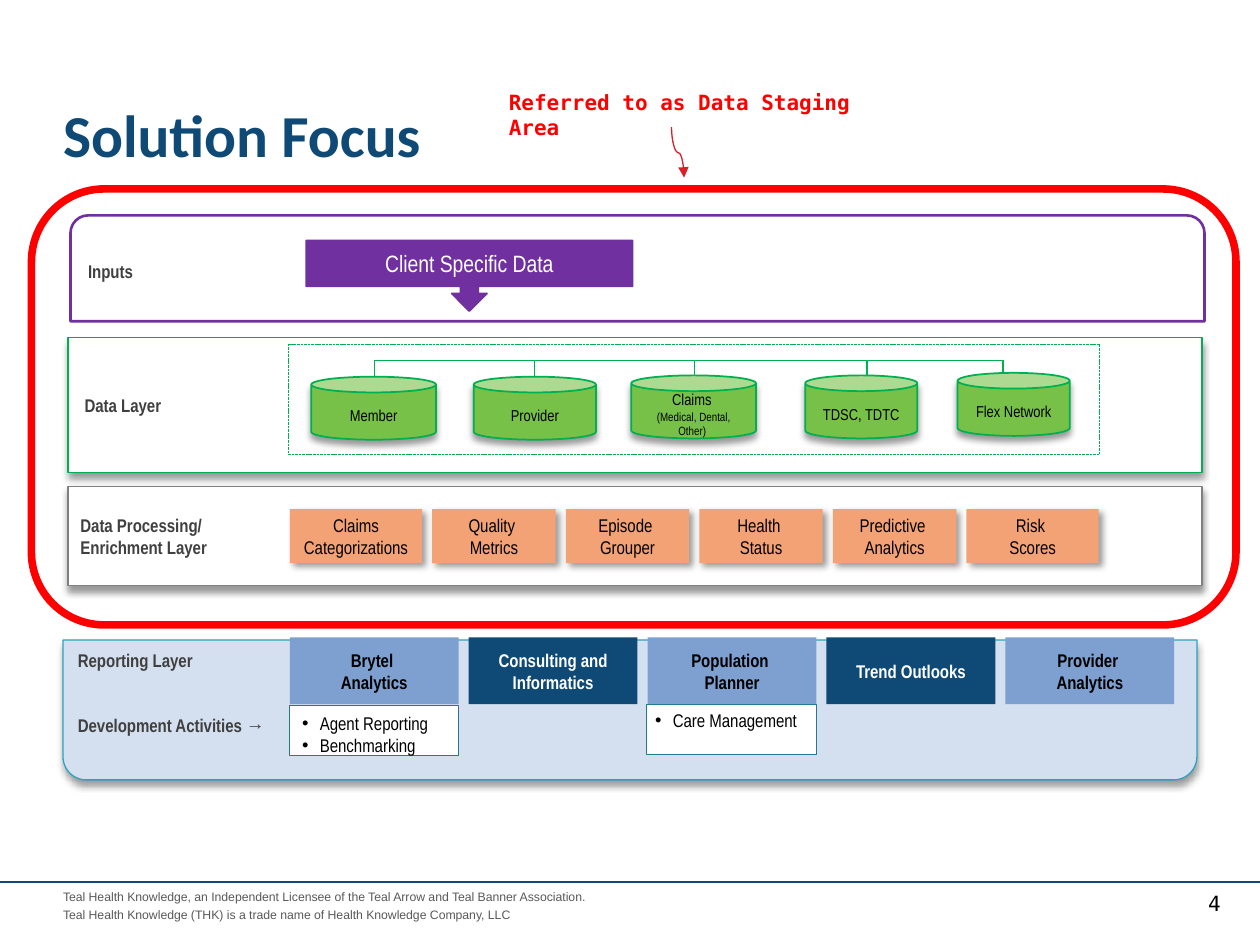
from lxml import etree
from pptx import Presentation
from pptx.dml.color import RGBColor
from pptx.enum.dml import MSO_LINE
from pptx.enum.shapes import MSO_CONNECTOR, MSO_SHAPE
from pptx.enum.text import MSO_ANCHOR, PP_ALIGN
from pptx.oxml.ns import qn
from pptx.util import Inches, Pt

RECT, ROUND, ROUND_TOP = MSO_SHAPE.RECTANGLE, MSO_SHAPE.ROUNDED_RECTANGLE, MSO_SHAPE.ROUND_2_SAME_RECTANGLE
CAN, CALLOUT = MSO_SHAPE.CAN, MSO_SHAPE.DOWN_ARROW_CALLOUT
STRAIGHT, CURVE = MSO_CONNECTOR.STRAIGHT, MSO_CONNECTOR.CURVE
TOP, MIDDLE = MSO_ANCHOR.TOP, MSO_ANCHOR.MIDDLE
LEFT, CENTER = PP_ALIGN.LEFT, PP_ALIGN.CENTER
DASH = MSO_LINE.SQUARE_DOT

# Grid of 10 columns by 7.5 rows; all lengths below are in grid units
SLIDE_W, SLIDE_H, COLS = Inches(10), Inches(7.5), 10

COLORS = {
    "navy": "0F4A77", "white": "FFFFFF", "black": "000000", "label": "404040",
    "footer": "595959", "red": "FF0000", "arrow": "DA1F28", "purple": "7030A0",
    "green": "00B050", "can": "78C149", "grey": "808080", "peach": "F3A276",
    "pale": "D4DFEF", "teal": "2DA2BF", "tile": "7DA0D0", "note": "227A8F",
}
NARROW = "Arial Narrow"
LABEL = {"name": NARROW, "size": 10.5, "color": "label", "bold": True}
BODY = {"name": NARROW, "size": 10.5, "color": "black"}
CAN_TEXT = {"name": NARROW, "size": 9, "color": "black"}


def grid(*values):
    return [round(v * SLIDE_W / COLS) for v in values]


def rgb(name):
    return RGBColor.from_string(COLORS[name])


def set_font(font, fmt):
    for key, value in fmt.items():
        if key == "color":
            font.color.rgb = rgb(value)
        else:
            setattr(font, key, Pt(value) if key == "size" else value)


def set_frame(tf, anchor, insets=(0.1, 0.05, 0.1, 0.05)):
    tf.word_wrap, tf.vertical_anchor = True, anchor
    sides = ("margin_left", "margin_top", "margin_right", "margin_bottom")
    for side, value in zip(sides, grid(*insets)):
        setattr(tf, side, value)


def write(tf, paragraphs, fmt, align=LEFT, later_size=None):
    """Fill a frame; a newline breaks the line, later lines may be smaller."""
    for i, text in enumerate(paragraphs):
        p = tf.paragraphs[0] if i == 0 else tf.add_paragraph()
        p.alignment = align
        for j, line in enumerate(text.split("\n")):
            if j:
                p.add_line_break()
            r = p.add_run()
            r.text = line
            set_font(r.font, {**fmt, "size": later_size} if j and later_size else fmt)


def add_text(s, box, paragraphs, fmt, insets=(0.1, 0.05, 0.1, 0.05)):
    tf = s.shapes.add_textbox(*grid(*box)).text_frame
    set_frame(tf, TOP, insets)
    write(tf, paragraphs, fmt)
    return tf


def add_shadow(sp, angle):
    effects = sp._element.spPr.find(qn("a:effectLst"))
    shadow = etree.SubElement(effects, qn("a:outerShdw"), blurRad=str(Pt(4)), dist=str(Pt(3)),
                              dir=str(angle * 60000), algn="tl", rotWithShape="0")
    color = etree.SubElement(shadow, qn("a:srgbClr"), val=COLORS["black"])
    etree.SubElement(color, qn("a:alpha"), val="40000")


def add_box(s, kind, box, fill=None, line=None, width=0.75, shadow=None):
    sp = s.shapes.add_shape(kind, *grid(*box))
    sp.shadow.inherit = False
    if fill:
        sp.fill.solid()
        sp.fill.fore_color.rgb = rgb(fill)
    else:
        sp.fill.background()
    if line:
        sp.line.color.rgb = rgb(line)
        sp.line.width = Pt(width)
    else:
        sp.line.fill.background()
    if shadow is not None:
        add_shadow(sp, shadow)
    return sp


def add_label(sp, text, fmt, align=CENTER, later_size=None, insets=(0.1, 0.05, 0.1, 0.05)):
    set_frame(sp.text_frame, MIDDLE, insets)
    write(sp.text_frame, [text], fmt, align, later_size)


def add_line(s, kind, ends, color):
    c = s.shapes.add_connector(kind, *grid(*ends))
    c.line.color.rgb = rgb(color)
    c.line.width = Pt(0.75)
    etree.SubElement(c._element.spPr, qn("a:effectLst"))
    return c


def add_notes_box(s, box, items, insets=(0.1, 0.05, 0.1, 0.05)):
    tf = add_box(s, RECT, box, "white", "note", 0.5).text_frame
    set_frame(tf, TOP, insets)
    write(tf, items, BODY)
    indent = grid(0.14)[0]
    for p in tf.paragraphs:
        pPr = p._p.get_or_add_pPr()
        pPr.set("marL", str(indent))
        pPr.set("indent", str(-indent))
        etree.SubElement(pPr, qn("a:buFont"), typeface="Arial")
        etree.SubElement(pPr, qn("a:buChar"), char="•")


def add_header(s):
    title = s.shapes.title
    title.left, title.top, title.width, title.height = grid(0.5, 0.46, 9, 1.21)
    set_frame(title.text_frame, MIDDLE, (0, 0.05, 0.1, 0.05))
    write(title.text_frame, ["Solution Focus"],
          {"name": "Calibri", "size": 34, "color": "navy", "bold": True})


def add_footer(s):
    add_line(s, STRAIGHT, (0, 7, 10, 7), "navy")
    tf = add_text(s, (0.5, 6.99, 7.42, 0.37), [
        "Teal Health Knowledge, an Independent Licensee of the Teal Arrow and Teal Banner Association.",
        "Teal Health Knowledge (THK) is a trade name of Health Knowledge Company, LLC",
    ], {"name": "Arial", "size": 7, "color": "footer"}, (0, 0.05, 0.1, 0.05))
    for p in tf.paragraphs:
        p.line_spacing = Pt(10)
    add_text(s, (9.49, 7.02, 0.5, 0.4), ["4"],
             {"name": "DejaVu Sans Mono", "size": 12, "color": "black"})


def add_inputs(s):
    panel = add_box(s, ROUND_TOP, (0.56, 1.71, 9, 0.84), "white", "purple", 1.5)
    add_label(panel, "Inputs", LABEL, LEFT)
    callout = add_box(s, CALLOUT, (2.43, 1.91, 2.59, 0.56), "purple", "purple", 1)
    add_label(callout, "Client Specific Data", {"name": NARROW, "size": 13.5, "color": "white"})


def add_data_layer(s):
    panel = add_box(s, RECT, (0.54, 2.68, 9, 1.07), "white", "green", shadow=90)
    add_label(panel, " Data Layer", LABEL, LEFT)
    # Bus line with a drop to each store: text, left, top, width, drop position
    stores = [
        ("Member", 2.47, 2.99, 0.99, 2.97),
        ("Provider", 3.76, 2.99, 0.97, 4.24),
        ("Claims \n(Medical, Dental, Other) ", 5.01, 2.98, 0.99, 5.51),
        ("TDSC, TDTC", 6.39, 2.98, 0.89, 6.88),
        ("Flex Network", 7.6, 2.96, 0.89, 7.96),
    ]
    bus = 2.86
    add_line(s, STRAIGHT, (stores[0][4], bus, stores[-1][4], bus), "green")
    for text, left, top, width, drop in stores:
        add_line(s, STRAIGHT, (drop, bus, drop, 3.01), "green")
        can = add_box(s, CAN, (left, top, width, 0.5), "can", "green", 1, 90)
        add_label(can, text, CAN_TEXT, later_size=6.8, insets=(0.1, 0.05, 0.1, 0))
    add_box(s, RECT, (2.29, 2.73, 6.44, 0.88), None, "green", 0.5).line.dash_style = DASH


def add_processing_layer(s):
    panel = add_box(s, RECT, (0.54, 3.86, 9, 0.79), "white", "grey", shadow=90)
    add_label(panel, "Data Processing/\nEnrichment Layer", LABEL, LEFT)
    steps = ["Claims Categorizations", "Quality \nMetrics", "Episode \nGrouper",
             "Health \nStatus", "Predictive \nAnalytics", "Risk \nScores"]
    for i, text in enumerate(steps):
        left = 3.43 + 1.06 * (i - 1) if i else 2.3
        width = 1.05 if i in (0, len(steps) - 1) else 0.98
        add_label(add_box(s, RECT, (left, 4.04, width, 0.43), "peach", shadow=45), text, BODY)


def add_reporting_layer(s):
    panel = add_box(s, ROUND_TOP, (0.5, 5.08, 9, 1.11), "pale", "teal", shadow=90)
    panel._element.spPr.find(qn("a:xfrm")).set("flipV", "1")
    tf = add_text(s, (0.52, 5.1, 1.87, 0.81), ["Reporting Layer", "Development Activities →"], LABEL)
    tf.paragraphs[1].space_before = Pt(25)
    tiles = ["Brytel \nAnalytics", "Consulting and Informatics", "Population \nPlanner",
             "Trend Outlooks", "Provider \nAnalytics"]
    for i, text in enumerate(tiles):
        fill, color = ("navy", "white") if i % 2 else ("tile", "black")
        tile = add_box(s, RECT, (2.3 + 1.42 * i, 5.06, 1.34, 0.53), fill)
        add_label(tile, text, {**BODY, "color": color, "bold": True})
    add_notes_box(s, (2.3, 5.6, 1.34, 0.4), ["Agent Reporting", "Benchmarking"])
    add_notes_box(s, (5.13, 5.59, 1.35, 0.4), ["Care Management"], (0.07, 0.04, 0.07, 0.04))


def add_staging_note(s):
    add_text(s, (3.94, 0.66, 2.94, 0.3), ["Referred to as Data Staging Area"],
             {"name": "DejaVu Sans Mono", "size": 12, "color": "red", "bold": True})
    # Turned a quarter so that the curve leaves downwards
    c = add_line(s, CURVE, (5.58, 1.16, 5.18, 1.26), "arrow")
    c._element.spPr.find(qn("a:xfrm")).set("rot", str(270 * 60000))
    etree.SubElement(c.get_or_add_ln(), qn("a:tailEnd"), type="triangle")


def main():
    prs = Presentation()
    prs.slide_width, prs.slide_height = SLIDE_W, SLIDE_H
    s = prs.slides.add_slide(prs.slide_layouts[5])
    add_footer(s)
    add_box(s, ROUND, (0.25, 1.5, 9.56, 3.46), "white", "red", 4.33)
    add_header(s)
    for add_part in (add_inputs, add_data_layer, add_processing_layer,
                     add_reporting_layer, add_staging_note):
        add_part(s)
    prs.save("out.pptx")


if __name__ == "__main__":
    main()
